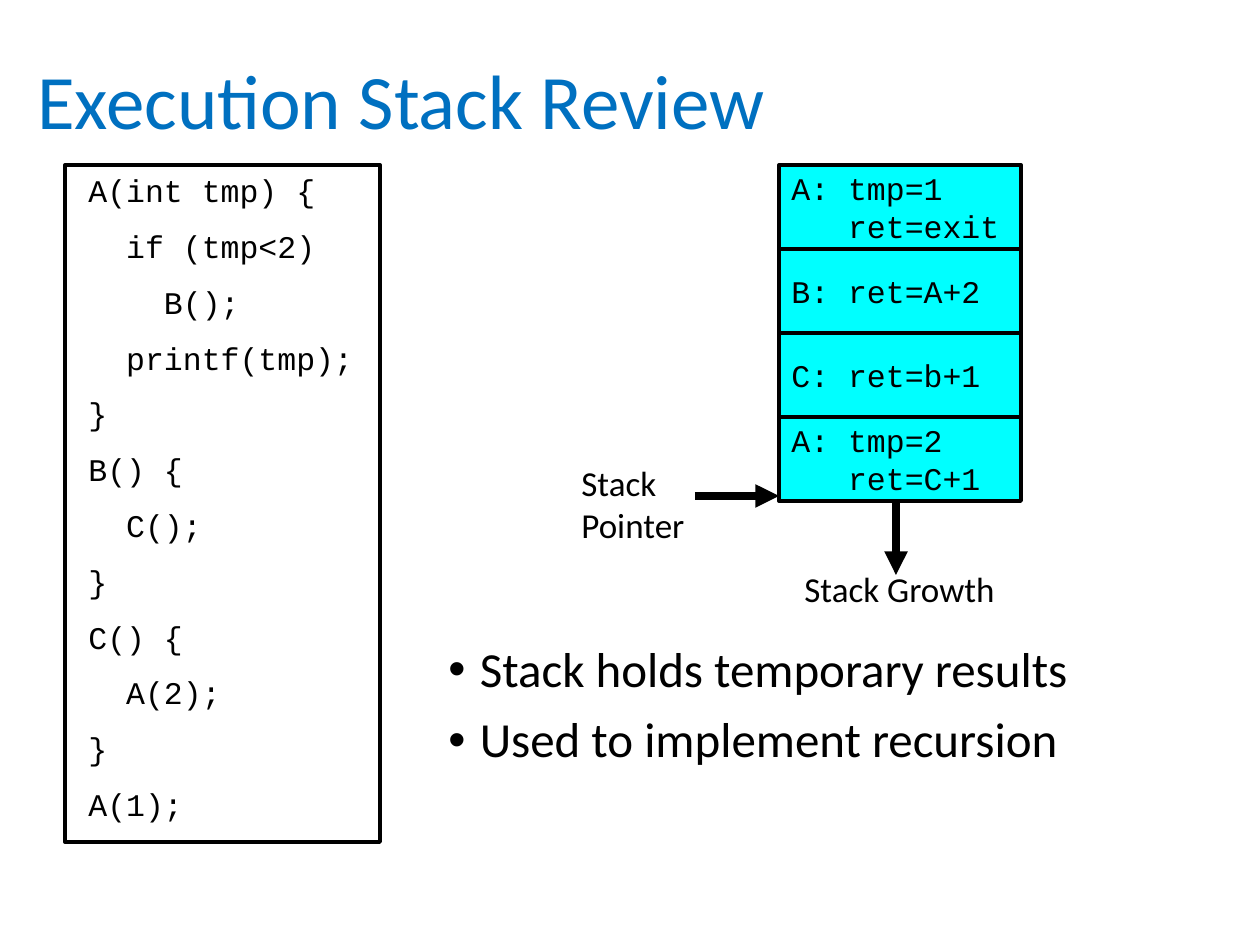
"""Build the execution stack review slide."""
from pptx import Presentation
from pptx.dml.color import RGBColor
from pptx.enum.shapes import MSO_CONNECTOR, MSO_SHAPE
from pptx.enum.text import MSO_ANCHOR, PP_ALIGN
from pptx.oxml.ns import qn
from pptx.util import Inches, Pt
from lxml.etree import SubElement

BLACK = RGBColor(0, 0, 0)
WHITE = RGBColor(255, 255, 255)
CYAN = RGBColor(0, 255, 255)
BLUE = RGBColor(0, 112, 192)
SANS, MONO = "Calibri", "Courier New"

TITLE = "Execution Stack Review"
BULLETS = ["Stack holds temporary results", "Used to implement recursion"]
CODE = [
    "A(int tmp) {",
    "  if (tmp<2)",
    "    B();",
    "  printf(tmp);",
    "}",
    "B() {",
    "  C();",
    "}",
    "C() {",
    "  A(2);",
    "}",
    "A(1);",
]
FRAMES = [
    ["A: tmp=1", "   ret=exit"],
    ["B: ret=A+2"],
    ["C: ret=b+1"],
    ["A: tmp=2", "   ret=C+1"],
]
LABELS = [
    (["Stack Growth"], (788, 561, 223, 55), PP_ALIGN.CENTER),
    (["Stack", "Pointer"], (569, 455, 130, 97), PP_ALIGN.LEFT),
]
ARROWS = [(896, 501, 896, 575), (695, 496, 779, 496)]
CODE_BOX = (65, 165, 315, 677)
CODE_TEXT = (76, 165, 294, 677)
STACK_X, STACK_Y, FRAME_W, FRAME_H = 779, 165, 242, 84


def px(*values):
    return [round(v * Inches(1) / 126) for v in values]


def write(sp, lines, size, font=SANS, color=BLACK, align=PP_ALIGN.LEFT,
          anchor=MSO_ANCHOR.TOP, spacing=None, before=0):
    tf = sp.text_frame
    tf.word_wrap = True
    tf.vertical_anchor = anchor
    for i, line in enumerate(lines):
        p = tf.add_paragraph() if i else tf.paragraphs[0]
        p.add_run().text = line
        p.alignment = align
        p.line_spacing = spacing
        p.space_before = Pt(before)
        p.font.size = Pt(size)
        p.font.name = font
        p.font.color.rgb = color
    return tf


def text(s, box, lines, size, **style):
    return write(s.shapes.add_textbox(*px(*box)), lines, size, **style)


def rect(s, box, fill):
    sp = s.shapes.add_shape(MSO_SHAPE.RECTANGLE, *px(*box))
    sp.shadow.inherit = False
    sp.fill.solid()
    sp.fill.fore_color.rgb = fill
    sp.line.color.rgb = BLACK
    sp.line.width = Pt(2.25)
    return sp


def arrow(s, ends):
    c = s.shapes.add_connector(MSO_CONNECTOR.STRAIGHT, *px(*ends))
    c.line.color.rgb = BLACK
    c.line.width = Pt(4.5)
    SubElement(c.line._get_or_add_ln(), qn("a:tailEnd"), type="triangle")
    SubElement(c._element.spPr, qn("a:effectLst"))


def add_bullets(tf):
    for p in tf.paragraphs:
        pPr = p._p.get_or_add_pPr()
        pPr.set("marL", str(Inches(0.25)))
        pPr.set("indent", str(-Inches(0.25)))
        font = pPr.makeelement(qn("a:buFont"), {"typeface": "Arial"})
        char = pPr.makeelement(qn("a:buChar"), {"char": "•"})
        pPr.find(qn("a:defRPr")).addprevious(font)
        font.addnext(char)


def main():
    prs = Presentation()
    prs.slide_width, prs.slide_height = px(1260, 945)
    s = prs.slides.add_slide(prs.slide_layouts[6])
    text(s, (25, 13, 1086, 183), [TITLE], 44, color=BLUE,
         anchor=MSO_ANCHOR.MIDDLE, spacing=0.9)
    add_bullets(text(s, (436, 639, 703, 179), BULLETS, 28,
                     spacing=0.9, before=10))
    rect(s, CODE_BOX, WHITE)
    text(s, CODE_TEXT, CODE, 18, font=MONO, before=10.3)
    for i, lines in enumerate(FRAMES):
        box = (STACK_X, STACK_Y + i * FRAME_H, FRAME_W, FRAME_H)
        write(rect(s, box, CYAN), lines, 18, font=MONO,
              anchor=MSO_ANCHOR.MIDDLE)
    for lines, box, align in LABELS:
        text(s, box, lines, 20, align=align)
    for ends in ARROWS:
        arrow(s, ends)
    prs.save("out.pptx")


if __name__ == "__main__":
    main()
